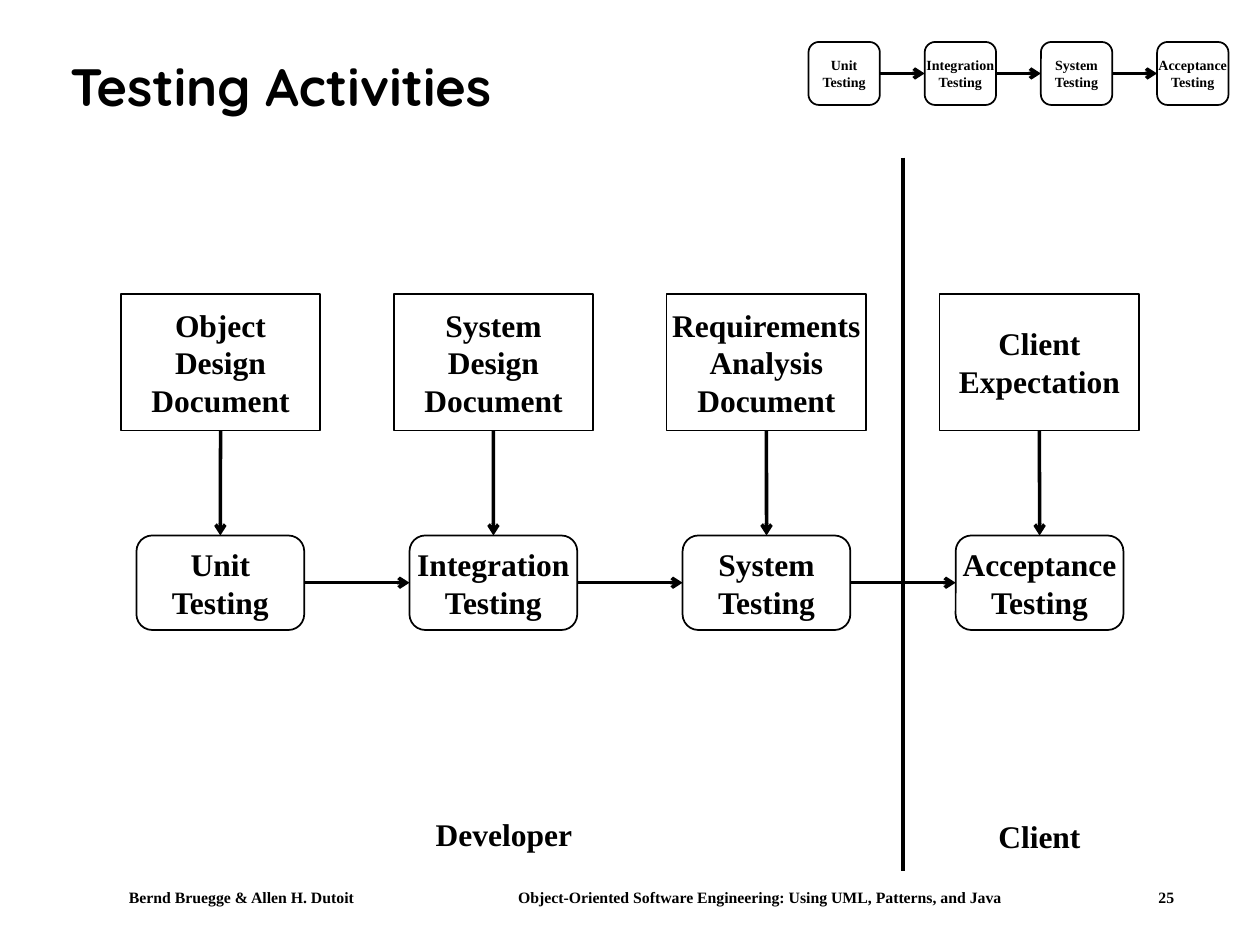
from dataclasses import dataclass

from lxml import etree
from pptx import Presentation
from pptx.dml.color import RGBColor
from pptx.enum.shapes import MSO_CONNECTOR, MSO_SHAPE
from pptx.enum.text import MSO_ANCHOR, PP_ALIGN
from pptx.oxml.ns import qn
from pptx.util import Inches, Pt

RECTANGLE, ROUNDED = MSO_SHAPE.RECTANGLE, MSO_SHAPE.ROUNDED_RECTANGLE
STRAIGHT = MSO_CONNECTOR.STRAIGHT
LEFT, CENTER = PP_ALIGN.LEFT, PP_ALIGN.CENTER
TOP, MIDDLE = MSO_ANCHOR.TOP, MSO_ANCHOR.MIDDLE
TOP_SIDE, LEFT_SIDE, BOTTOM_SIDE, RIGHT_SIDE = range(4)

COLORS = {"ink": "000000", "paper": "FFFFFF"}
BODY_FONT, TITLE_FONT = "Times New Roman", "Quicksand"
CELLS_PER_INCH = 12  # the slide is 120 columns by 90 rows

TESTS = [["Unit\nTesting"], ["Integration\nTesting"],
         ["System\nTesting"], ["Acceptance\nTesting"]]
SOURCES = [["Object\nDesign", "Document"], ["System\nDesign", "Document"],
           ["Requirements\nAnalysis", "Document"], ["Client", "Expectation"]]


def cells(count):
    return Inches(count / CELLS_PER_INCH)


def color(name):
    return RGBColor.from_string(COLORS[name])


@dataclass
class Box:
    """An area in columns and rows of the slide grid."""
    left: float
    top: float
    width: float
    height: float

    def lengths(self):
        return [cells(n) for n in (self.left, self.top, self.width, self.height)]

    def split(self, count, share):
        """Spread equal boxes, each a share of the width, from edge to edge."""
        width = self.width * share
        pitch = (self.width - width) / (count - 1)
        return [Box(self.left + i * pitch, self.top, width, self.height)
                for i in range(count)]


def write(shape, paragraphs, size, font=BODY_FONT, align=CENTER,
          anchor=MIDDLE, wrap=True):
    frame = shape.text_frame
    frame.word_wrap = wrap
    frame.vertical_anchor = anchor
    for index, text in enumerate(paragraphs):
        paragraph = frame.add_paragraph() if index else frame.paragraphs[0]
        paragraph.alignment = align
        for line_index, line in enumerate(text.split("\n")):
            if line_index:
                paragraph.add_line_break()
            run = paragraph.add_run()
            run.text = line
            run.font.size = Pt(size)
            run.font.name = font
            run.font.bold = True
            run.font.color.rgb = color("ink")
    return frame


def add_label(slide, box, text, size, **style):
    return write(slide.shapes.add_textbox(*box.lengths()), [text], size, **style)


def add_node(slide, box, kind, paragraphs, size):
    shape = slide.shapes.add_shape(kind, *box.lengths())
    shape.shadow.inherit = False
    shape.fill.solid()
    shape.fill.fore_color.rgb = color("paper")
    shape.line.color.rgb = color("ink")
    shape.line.width = Pt(1)
    write(shape, paragraphs, size, wrap=False)
    return shape


def add_line(slide, start=(0, 0), end=(0, 0)):
    points = [cells(n) for n in (*start, *end)]
    line = slide.shapes.add_connector(STRAIGHT, *points)
    line.line.color.rgb = color("ink")
    line.line.width = Pt(2)
    etree.SubElement(line._element.spPr, qn("a:effectLst"))
    return line


def add_arrow(slide, source, source_side, target, target_side):
    arrow = add_line(slide)
    arrow.begin_connect(source, source_side)
    arrow.end_connect(target, target_side)
    etree.SubElement(arrow.line._get_or_add_ln(), qn("a:tailEnd"), type="arrow")


def add_row(slide, box, share, kind, labels, size):
    return [add_node(slide, area, kind, label, size)
            for area, label in zip(box.split(len(labels), share), labels)]


def add_test_chain(slide, box, size):
    tests = add_row(slide, box, 0.17, ROUNDED, TESTS, size)
    for test, following in zip(tests, tests[1:]):
        add_arrow(slide, test, RIGHT_SIDE, following, LEFT_SIDE)
    return tests


def add_activities(slide, box):
    """Source documents above the chain of tests that check against them."""
    document_row = Box(box.left, box.top, box.width, 13)
    test_row = Box(box.left + 1.5, box.top + 23, box.width - 3, 9)
    documents = add_row(slide, document_row, 0.196, RECTANGLE, SOURCES, 18)
    tests = add_test_chain(slide, test_row, 18)
    for document, test in zip(documents, tests):
        add_arrow(slide, document, BOTTOM_SIDE, test, TOP_SIDE)


def add_responsibilities(slide, box):
    """Divider between the developer's side and the client's side."""
    divider = box.left + 47
    add_line(slide, (divider, box.top), (divider, box.top + box.height))
    label_top = box.top + box.height - 6
    add_label(slide, Box(box.left, label_top, 18, 4.8), "Developer", 18)
    add_label(slide, Box(divider + 4, label_top + 0.2, 18, 4.8), "Client", 18)


def add_title(slide, box):
    frame = add_label(slide, box, "Testing Activities", 30,
                      font=TITLE_FONT, align=LEFT)
    frame.paragraphs[0].line_spacing = 0.9


def add_footer(slide, box):
    parts = ["Bernd Bruegge & Allen H. Dutoit",
             "Object-Oriented Software Engineering: Using UML, Patterns, and Java",
             "25"]
    frame = add_label(slide, box, "\t".join(parts), 9, align=LEFT, anchor=TOP)
    frame.margin_left = Inches(0.44)
    properties = frame.paragraphs[0]._p.get_or_add_pPr()
    stops = etree.SubElement(properties, qn("a:tabLst"))
    for share, align in ((0.337, "l"), (0.905, "r")):
        etree.SubElement(stops, qn("a:tab"), algn=align,
                         pos=str(cells(box.width * share)))


def main():
    presentation = Presentation()
    presentation.slide_width = cells(120)
    presentation.slide_height = cells(90)
    slide = presentation.slides.add_slide(presentation.slide_layouts[6])
    add_footer(slide, Box(7, 84, 110, 3))
    add_title(slide, Box(5.5, 2.9, 107, 11.3))
    add_activities(slide, Box(11.5, 28, 97, 32))
    add_responsibilities(slide, Box(39, 15, 69, 68))
    add_test_chain(slide, Box(77, 4, 40, 6), 8)
    presentation.save("out.pptx")


if __name__ == "__main__":
    main()
